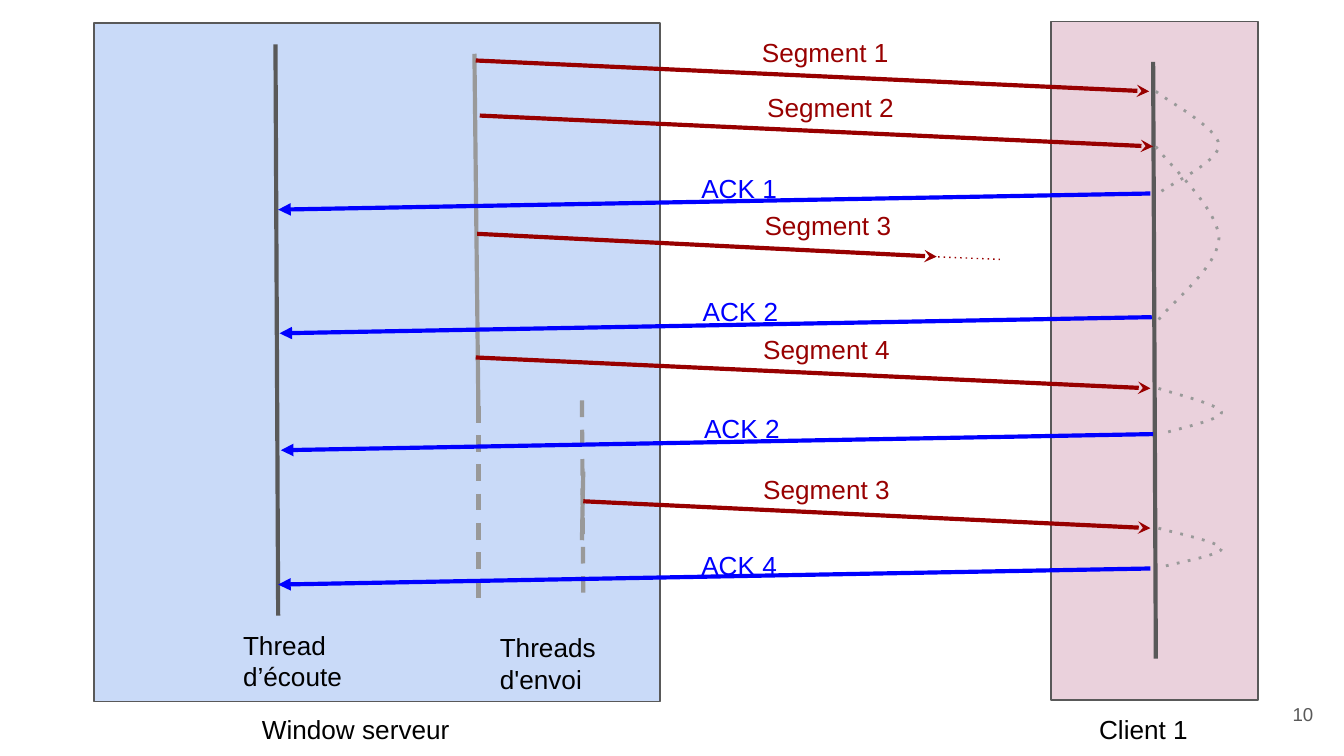
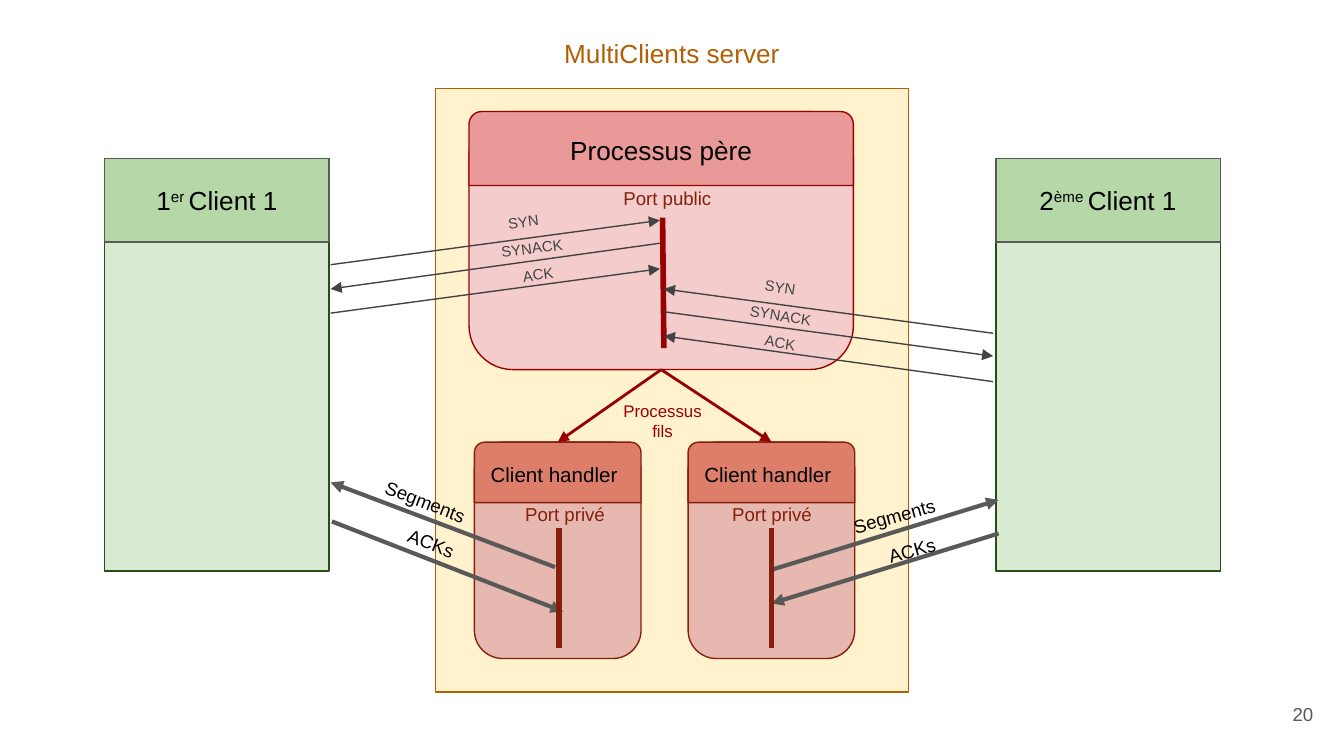
from dataclasses import dataclass

from lxml import etree
from pptx import Presentation
from pptx.dml.color import RGBColor
from pptx.enum.shapes import MSO_CONNECTOR, MSO_SHAPE
from pptx.enum.text import MSO_ANCHOR, MSO_AUTO_SIZE, PP_ALIGN
from pptx.oxml.ns import qn
from pptx.util import Inches, Pt

RECT = MSO_SHAPE.RECTANGLE
ROUNDED = MSO_SHAPE.ROUNDED_RECTANGLE
ROUNDED_TOP = MSO_SHAPE.ROUND_2_SAME_RECTANGLE
STRAIGHT = MSO_CONNECTOR.STRAIGHT
LEFT, CENTER, RIGHT = PP_ALIGN.LEFT, PP_ALIGN.CENTER, PP_ALIGN.RIGHT
TOP, MIDDLE = MSO_ANCHOR.TOP, MSO_ANCHOR.MIDDLE
NO_AUTOFIT = MSO_AUTO_SIZE.NONE
TITLE_ONLY, BLANK = 5, 6
BOTTOM_SITE, TOP_SITE = 2, 0

FONT = "Arial"
BLACK, DARK, GRAY, INK = "000000", "595959", "999999", "434343"
SEGMENT_RED, ACK_BLUE = "980000", "0000FF"
FATHER_RED, HANDLER_BROWN, SERVER_ORANGE = "990000", "85200C", "B45F06"
CORNER = 0.17
TURNAROUND_X = 8.6

Point = tuple[float, float]
Box = tuple[float, float, float, float]


@dataclass(frozen=True)
class Flow:
    """Look shared by messages of one type; label_size is width, height."""
    color: str
    width: float
    head: str
    label_size: Point
    text_size: float
    text_color: str
    rotation: float = 0


@dataclass(frozen=True)
class Message:
    flow: Flow
    label: str
    start: Point
    end: Point
    label_at: Point


@dataclass(frozen=True)
class Card:
    """A panel with a titled header band."""
    box: Box
    header_height: float
    title: str
    body_fill: str
    header_fill: str
    body_line: str
    header_line: str
    size: float = 14
    align: PP_ALIGN = CENTER
    rounded: bool = True


SEGMENT = Flow(SEGMENT_RED, 2.25, "stealth", (1.25, 0.48), 14, SEGMENT_RED)
ACK = Flow(ACK_BLUE, 2.25, "triangle", (0.86, 0.62), 14, ACK_BLUE)
LEFT_HANDSHAKE = Flow(INK, 0.75, "triangle", (0.86, 0.17), 8, INK, 352.5)
RIGHT_HANDSHAKE = Flow(INK, 0.75, "triangle", (0.86, 0.17), 8, INK, 8.7)
LEFT_DATA = Flow(DARK, 2.25, "triangle", (1.31, 0.25), 10, BLACK, 21.2)
LEFT_ACKS = Flow(DARK, 2.25, "triangle", (0.71, 0.25), 10, BLACK, 21.6)
RIGHT_DATA = Flow(DARK, 2.25, "triangle", (1.31, 0.25), 10, BLACK, 344.5)

EXCHANGES = [
    Message(SEGMENT, "Segment 1", (3.54, 0.45), (8.55, 0.68), (5.57, 0.17)),
    Message(SEGMENT, "Segment 2", (3.57, 0.86), (8.58, 1.09), (5.61, 0.58)),
    Message(ACK, "ACK 1", (8.56, 1.44), (2.07, 1.56), (5.12, 1.18)),
    Message(SEGMENT, "Segment 3", (3.55, 1.74), (6.97, 1.91), (5.59, 1.46)),
    Message(ACK, "ACK 2", (8.57, 2.36), (2.08, 2.48), (5.13, 2.1)),
    Message(SEGMENT, "Segment 4", (3.54, 2.66), (8.56, 2.89), (5.58, 2.38)),
    Message(ACK, "ACK 2", (8.58, 3.23), (2.09, 3.35), (5.14, 2.97)),
    Message(SEGMENT, "Segment 3", (4.34, 3.73), (8.56, 3.93), (5.58, 3.42)),
    Message(ACK, "ACK 4", (8.56, 4.23), (2.07, 4.35), (5.12, 3.99)),
]

CONNECTIONS = [
    Message(LEFT_HANDSHAKE, "SYN", (2.46, 1.97), (4.91, 1.64), (3.67, 1.47)),
    Message(LEFT_HANDSHAKE, "SYNACK", (4.91, 1.81), (2.46, 2.15), (3.62, 1.68)),
    Message(LEFT_HANDSHAKE, "ACK", (2.46, 2.33), (4.91, 2), (3.78, 1.86)),
    Message(RIGHT_HANDSHAKE, "SYN", (7.39, 2.48), (4.94, 2.15), (5.6, 2.02)),
    Message(RIGHT_HANDSHAKE, "SYNACK", (4.94, 2.32), (7.39, 2.65), (5.49, 2.21)),
    Message(RIGHT_HANDSHAKE, "ACK", (7.39, 2.84), (4.94, 2.5), (5.6, 2.43)),
    Message(LEFT_DATA, "Segments", (4.13, 4.22), (2.46, 3.59), (2.76, 3.64)),
    Message(LEFT_ACKS, "ACKs", (2.47, 3.88), (4.19, 4.55), (2.95, 3.89)),
    Message(RIGHT_DATA, "Segments", (5.74, 4.24), (7.43, 3.72), (6.22, 3.59)),
    Message(RIGHT_DATA, "ACKs", (7.43, 3.97), (5.74, 4.49), (6.48, 3.81)),
]


def rgb(color: str) -> RGBColor:
    return RGBColor.from_string(color)


def write(shape, text: str, *, size: float = 14, color: str = BLACK,
          align: PP_ALIGN = LEFT, anchor: MSO_ANCHOR = TOP) -> None:
    """Fill a shape with text; parts between ^ marks are superscript."""
    frame = shape.text_frame
    frame.word_wrap = True
    frame.auto_size = NO_AUTOFIT
    frame.vertical_anchor = anchor
    frame.margin_left = frame.margin_right = Inches(0.1)
    frame.margin_top = frame.margin_bottom = Inches(0.1)
    paragraph = frame.paragraphs[0]
    paragraph.alignment = align
    for index, part in enumerate(text.split("^")):
        run = paragraph.add_run()
        run.text = part
        run.font.name = FONT
        run.font.size = Pt(size)
        run.font.color.rgb = rgb(color)
        if index % 2:
            run._r.get_or_add_rPr().set("baseline", "30000")


def add_label(slide, text: str, box: Box, rotation: float = 0, **text_format) -> None:
    label = slide.shapes.add_textbox(*map(Inches, box))
    label.rotation = rotation
    write(label, text, **text_format)


def add_panel(slide, kind: MSO_SHAPE, box: Box, fill: str, line: str):
    panel = slide.shapes.add_shape(kind, *map(Inches, box))
    panel.shadow.inherit = False
    panel.fill.solid()
    panel.fill.fore_color.rgb = rgb(fill)
    panel.line.color.rgb = rgb(line)
    panel.line.width = Pt(0.75)
    if kind != RECT:
        panel.adjustments[0] = CORNER
    return panel


def style_line(line, color: str, width: float, dash: str = "", head: str = "") -> None:
    line.color.rgb = rgb(color)
    line.width = Pt(width)
    ln = line._get_or_add_ln()
    if dash:
        etree.SubElement(ln, qn("a:prstDash"), val=dash)
    if head:
        etree.SubElement(ln, qn("a:tailEnd"), type=head)


def add_line(slide, start: Point, end: Point, color: str, width: float,
             dash: str = "", head: str = ""):
    connector = slide.shapes.add_connector(STRAIGHT, *map(Inches, (*start, *end)))
    style_line(connector.line, color, width, dash, head)
    etree.SubElement(connector._element.spPr, qn("a:effectLst"))
    return connector


def add_message(slide, message: Message) -> None:
    flow = message.flow
    add_line(slide, message.start, message.end, flow.color, flow.width, head=flow.head)
    add_label(slide, message.label, (*message.label_at, *flow.label_size),
              flow.rotation, size=flow.text_size, color=flow.text_color)


def bezier(p0: Point, p1: Point, p2: Point, p3: Point, steps: int = 12) -> list[Point]:
    def at(t: float, axis: int) -> float:
        u = 1 - t
        return (u ** 3 * p0[axis] + 3 * u * u * t * p1[axis]
                + 3 * u * t * t * p2[axis] + t ** 3 * p3[axis])
    return [(at(i / steps, 0), at(i / steps, 1)) for i in range(1, steps + 1)]


def add_turnaround(slide, left: float, top: float, bottom: float) -> None:
    """Dotted bulge from a received segment to the ACK it triggers."""
    height = bottom - top
    start, end = (left, top), (left + 0.02, bottom)
    crest = (left + 0.47, top + 0.53 * height)
    points = bezier(start, (left + 0.08, top + 0.09 * height),
                    (left + 0.47, top + 0.36 * height), crest)
    points += bezier(crest, (left + 0.47, top + 0.69 * height),
                     (left + 0.09, top + 0.92 * height), end)
    builder = slide.shapes.build_freeform(Inches(left), Inches(top))
    builder.add_line_segments([(Inches(x), Inches(y)) for x, y in points], close=False)
    curve = builder.convert_to_shape()
    curve.shadow.inherit = False
    curve.fill.background()
    style_line(curve.line, GRAY, 1.5, dash="dot")


def add_card(slide, card: Card):
    left, top, width, _ = card.box
    body = add_panel(slide, ROUNDED if card.rounded else RECT, card.box,
                     card.body_fill, card.body_line)
    header = add_panel(slide, ROUNDED_TOP if card.rounded else RECT,
                       (left, top, width, card.header_height),
                       card.header_fill, card.header_line)
    write(header, card.title, size=card.size, align=card.align, anchor=MIDDLE)
    return body


def add_page_number(slide, number: int) -> None:
    add_label(slide, str(number), (9.27, 5.1, 0.6, 0.43), size=10, color=DARK,
              align=RIGHT, anchor=MIDDLE)


def build_window_slide(prs) -> None:
    slide = prs.slides.add_slide(prs.slide_layouts[BLANK])
    add_panel(slide, RECT, (7.82, 0.16, 1.54, 5.05), "EAD1DC", DARK)
    add_panel(slide, RECT, (0.7, 0.17, 4.21, 5.05), "C9DAF8", DARK)
    for start, end, color, dash in (
        ((2.05, 0.33), (2.07, 4.58), DARK, ""),
        ((3.53, 0.4), (3.56, 3.09), GRAY, ""),
        ((3.56, 3.02), (3.56, 4.5), GRAY, "dash"),
        ((4.34, 3.51), (4.33, 4.02), GRAY, ""),
        ((4.33, 2.98), (4.34, 4.41), GRAY, "dash"),
        ((8.58, 0.46), (8.6, 4.9), DARK, ""),
    ):
        add_line(slide, start, end, color, 2.25, dash)
    for text, left, top, width in (
        ("Window serveur", 1.85, 5.21, 2.76),
        ("Client 1", 8.08, 5.21, 2.76),
        ("Thread d’écoute", 1.71, 4.58, 1.25),
        ("Threads d'envoi", 3.62, 4.6, 1.25),
    ):
        add_label(slide, text, (left, top, width, 0.26))
    for message in EXCHANGES:
        add_message(slide, message)
    add_line(slide, (6.94, 1.91), (7.44, 1.93), SEGMENT_RED, 0.75, "dot")
    for shift, received, answered in ((0, 0.68, 1.44), (0, 1.09, 2.38),
                                      (0.02, 2.89, 3.23), (0.02, 3.93, 4.22)):
        add_turnaround(slide, TURNAROUND_X + shift, received, answered)
    add_page_number(slide, 10)


def build_multiclient_slide(prs) -> None:
    slide = prs.slides.add_slide(prs.slide_layouts[TITLE_ONLY])
    title = slide.shapes.title
    title.left, title.top, title.width, title.height = map(Inches, (3.53, 0.18, 2.94, 0.28))
    write(title, "MultiClients server", color=SERVER_ORANGE, align=CENTER)

    add_panel(slide, RECT, (3.24, 0.66, 3.52, 4.49), "FFF2CC", SERVER_ORANGE)
    father = add_card(slide, Card((3.49, 0.83, 2.86, 1.92), 0.55, "Processus père",
                                  "F4CCCC", "EA9999", FATHER_RED, FATHER_RED))
    handlers = [
        add_card(slide, Card((left, 3.29, 1.24, 1.61), 0.45, "Client handler",
                             "E6B8AF", "DD7E6B", HANDLER_BROWN, HANDLER_BROWN,
                             size=11, align=LEFT))
        for left in (3.53, 5.12)
    ]
    for left, name in ((0.78, "1^er ^Client 1"), (7.41, "2^ème ^Client 1")):
        add_card(slide, Card((left, 1.18, 1.67, 3.07), 0.62, name, "D9EAD3", "B6D7A8",
                             "274E13", DARK, rounded=False))

    add_line(slide, (4.93, 1.62), (4.94, 2.59), FATHER_RED, 3)
    for handler in handlers:
        fork = add_line(slide, (4.92, 2.75), (4.92, 3.29), FATHER_RED, 1.5, head="triangle")
        fork.begin_connect(father, BOTTOM_SITE)
        fork.end_connect(handler, TOP_SITE)
    add_label(slide, "Processus fils", (4.5, 2.88, 0.86, 0.28), size=9,
              color=FATHER_RED, align=CENTER)
    for message in CONNECTIONS:
        add_message(slide, message)
    for x in (4.16, 5.74):
        add_line(slide, (x, 3.93), (x, 4.82), HANDLER_BROWN, 3)
    for text, box in (
        ("Port public", (4.54, 1.32, 1.95, 0.14)),
        ("Port privé", (3.81, 3.64, 0.86, 0.36)),
        ("Port privé", (5.35, 3.64, 0.86, 0.36)),
    ):
        add_label(slide, text, box, size=10, color=HANDLER_BROWN)
    add_page_number(slide, 20)


def main() -> None:
    prs = Presentation()
    prs.slide_width = Inches(10)
    prs.slide_height = prs.slide_width * 9 // 16
    build_window_slide(prs)
    build_multiclient_slide(prs)
    prs.save("out.pptx")


if __name__ == "__main__":
    main()
